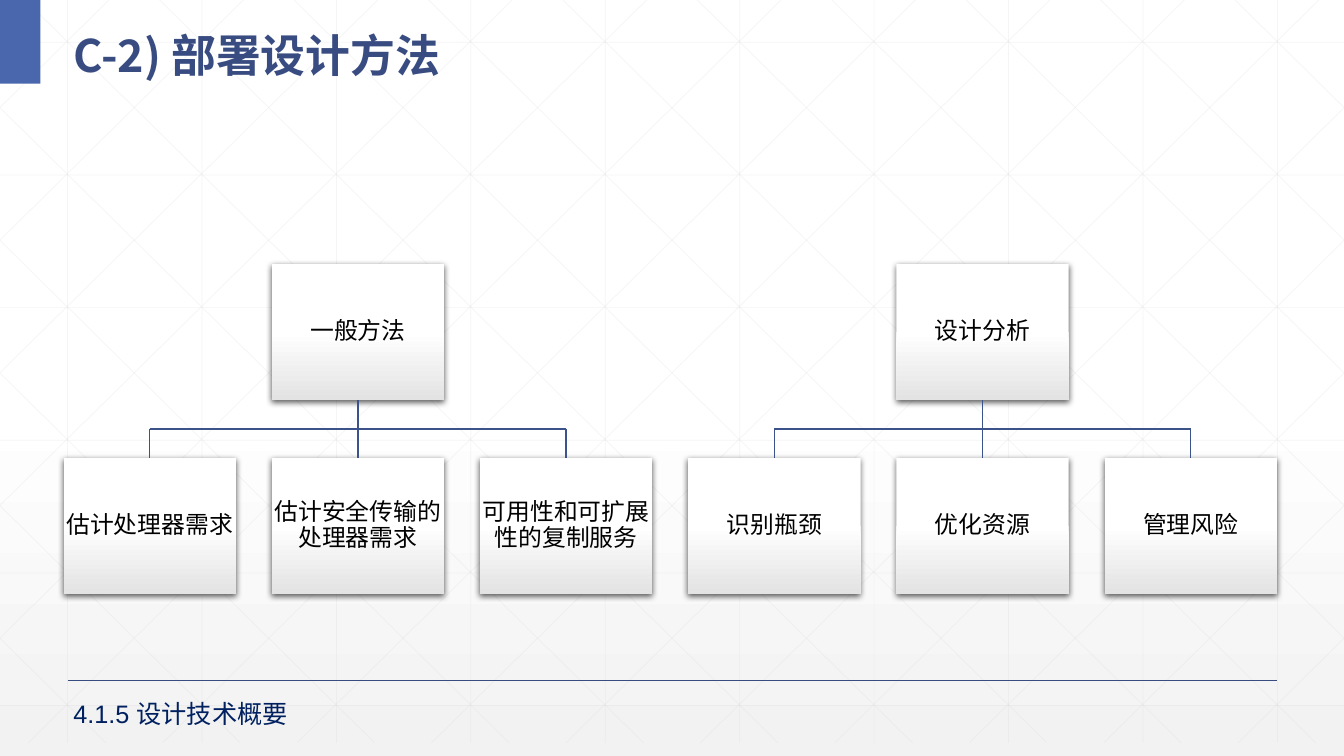
import pptx
import pptx.dml.color
import pptx.enum.shapes
import pptx.enum.text
import pptx.oxml
import pptx.oxml.ns
import pptx.util

Inches = pptx.util.Inches
Pt = pptx.util.Pt
qn = pptx.oxml.ns.qn
RECTANGLE = pptx.enum.shapes.MSO_SHAPE.RECTANGLE
STRAIGHT = pptx.enum.shapes.MSO_CONNECTOR.STRAIGHT
CENTER = pptx.enum.text.PP_ALIGN.CENTER
MIDDLE = pptx.enum.text.MSO_ANCHOR.MIDDLE
TOP = pptx.enum.text.MSO_ANCHOR.TOP

CJK_FONT = "Noto Sans CJK SC"
SLIDE_WIDTH, SLIDE_HEIGHT = 13.33, 7.5
CARD_WIDTH, CARD_HEIGHT = 1.71, 1.35
CARD_GAP, LEVEL_GAP = 0.355, 0.57
TREES = [
    ("一般方法", ["估计处理器需求", "估计安全传输的处理器需求", "可用性和可扩展性的复制服务"]),
    ("设计分析", ["识别瓶颈", "优化资源", "管理风险"]),
]


def color(value):
    """Turn a hex string into a colour."""
    return pptx.dml.color.RGBColor.from_string(value)


def add_xml(parent, tag, children="", **attributes):
    """Append one drawing element to a parent element."""
    listed = "".join(f' {name}="{value}"' for name, value in attributes.items())
    namespace = pptx.oxml.ns.nsdecls("a")
    parent.append(pptx.oxml.parse_xml(f"<a:{tag} {namespace}{listed}>{children}</a:{tag}>"))


def fill_downward(fill, owner, stops):
    """Give a fill a top-to-bottom gradient of (percent, colour) stops."""
    fill.gradient()
    fill.gradient_angle = 270
    stop_list = owner.find(".//" + qn("a:gsLst"))
    for old_stop in list(stop_list):
        stop_list.remove(old_stop)
    for percent, value in stops:
        add_xml(stop_list, "gs", f'<a:srgbClr val="{value}"/>', pos=percent * 1000)


def add_line(slide, start, end, line_color, width=1, opacity=None):
    """Draw a straight line between two points in inches."""
    line = slide.shapes.add_connector(STRAIGHT, *map(Inches, (*start, *end)))
    line.line.color.rgb = color(line_color)
    line.line.width = Pt(width)
    if opacity is not None:
        add_xml(line.element.find(".//" + qn("a:srgbClr")), "alpha", val=opacity * 1000)
    add_xml(line.element.spPr, "effectLst")
    return line


def write_text(shape, text, size, text_color, font="Arial", bold=False, align=None,
               anchor=TOP, spacing=None, inset=None):
    """Write one formatted paragraph into a shape."""
    frame = shape.text_frame
    frame.word_wrap = True
    frame.vertical_anchor = anchor
    if inset is not None:
        frame.margin_left = frame.margin_right = Inches(inset)
        frame.margin_top = frame.margin_bottom = Inches(inset)
    paragraph = frame.paragraphs[0]
    paragraph.alignment = align
    paragraph.line_spacing = spacing
    run = paragraph.add_run()
    run.text = text
    run.font.size = Pt(size)
    run.font.bold = bold
    run.font.name = font
    run.font.color.rgb = color(text_color)
    add_xml(run.font._element, "ea", typeface=CJK_FONT)


def draw_backdrop(slide, width, height):
    """Shade the slide and cover it with a faint lattice."""
    fill_downward(slide.background.fill, slide.element,
                  [(0, "FFFFFF"), (53, "FFFFFF"), (100, "F2F2F2")])
    bottom = height - 0.13
    column_step, row_step = 4 / 3, 1.316
    slope = row_step / column_step
    lattice = [((x, 0), (x, bottom)) for x in (0.67 + column_step * i for i in range(10))]
    lattice += [((0, y), (width, y)) for y in (0.42 + row_step * i for i in range(6))]
    for i in range(-5, 10):
        origin = 0.25 + column_step * i
        left, right = max(origin, 0), min(origin + bottom / slope, width)
        top, foot = (left - origin) * slope, (right - origin) * slope
        lattice.append(((left, top), (right, foot)))
        lattice.append(((width - left, top), (width - right, foot)))
    for start, end in lattice:
        add_line(slide, start, end, "D9D9D9", width=0.5, opacity=25)


def draw_header(slide, left, top, width, height):
    """Place the corner block and the title beside it."""
    corner = slide.shapes.add_shape(RECTANGLE, 0, 0, Inches(0.4), Inches(top + height))
    corner.shadow.inherit = False
    corner.fill.solid()
    corner.fill.fore_color.rgb = color("4A66AC")
    corner.line.fill.background()
    title = slide.shapes.add_textbox(*map(Inches, (left, top, width, height)))
    write_text(title, "C-2) 部署设计方法", 32, "384C81", font=CJK_FONT, bold=True,
               anchor=MIDDLE, spacing=1.3)


def draw_card(slide, left, top, label):
    """Draw one shaded card with its label."""
    card = slide.shapes.add_shape(
        RECTANGLE, *map(Inches, (left, top, CARD_WIDTH, CARD_HEIGHT)))
    card.line.fill.background()
    fill_downward(card.fill, card.element, [(0, "FFFFFF"), (50, "FFFFFF"), (100, "E3E3E3")])
    card.shadow.inherit = False
    add_xml(card.element.spPr.find(qn("a:effectLst")), "outerShdw",
            '<a:srgbClr val="000000"><a:alpha val="63000"/></a:srgbClr>',
            blurRad=Pt(4.5), dist=Pt(1.5), dir=5400000, rotWithShape=0)
    write_text(card, label, 17, "000000", align=CENTER, anchor=MIDDLE,
               spacing=0.9, inset=0.01)
    return card


def draw_tree(slide, left, top, method, steps):
    """Draw a method card joined to the row of its steps."""
    pitch = CARD_WIDTH + CARD_GAP
    middle = len(steps) // 2
    method_bottom = top + CARD_HEIGHT
    steps_top = method_bottom + LEVEL_GAP
    branch_y = method_bottom + LEVEL_GAP / 2
    method_card = draw_card(slide, left + middle * pitch, top, method)
    centers = [left + CARD_WIDTH / 2 + i * pitch for i in range(len(steps))]
    add_line(slide, (centers[0], branch_y), (centers[-1], branch_y), "3B528A")
    for i, (center, step) in enumerate(zip(centers, steps)):
        step_card = draw_card(slide, left + i * pitch, steps_top, step)
        stem_top = method_bottom if i == middle else branch_y
        stem = add_line(slide, (center, stem_top), (center, steps_top), "3B528A")
        if i == middle:
            stem.begin_connect(method_card, 2)
        stem.end_connect(step_card, 0)


def draw_footer(slide, left, top, width):
    """Place the footer rule and the section name."""
    add_line(slide, (left, top), (left + width, top), "384C81")
    section = slide.shapes.add_textbox(
        *map(Inches, (left - 0.04, top + 0.13, 3.53, 0.4)))
    write_text(section, "4.1.5 设计技术概要", 18, "002060")


def main():
    """Build the slide and save it."""
    deck = pptx.Presentation()
    deck.slide_width, deck.slide_height = Inches(SLIDE_WIDTH), Inches(SLIDE_HEIGHT)
    slide = deck.slides.add_slide(deck.slide_layouts[6])
    draw_backdrop(slide, SLIDE_WIDTH, SLIDE_HEIGHT)
    draw_header(slide, 0.63, 0.1, 12.42, 0.73)
    tree_left = 0.63
    for method, steps in TREES:
        draw_tree(slide, tree_left, 2.62, method, steps)
        tree_left += len(steps) * (CARD_WIDTH + CARD_GAP)
    draw_footer(slide, 0.67, 6.75, 12)
    deck.save("out.pptx")


if __name__ == "__main__":
    main()
